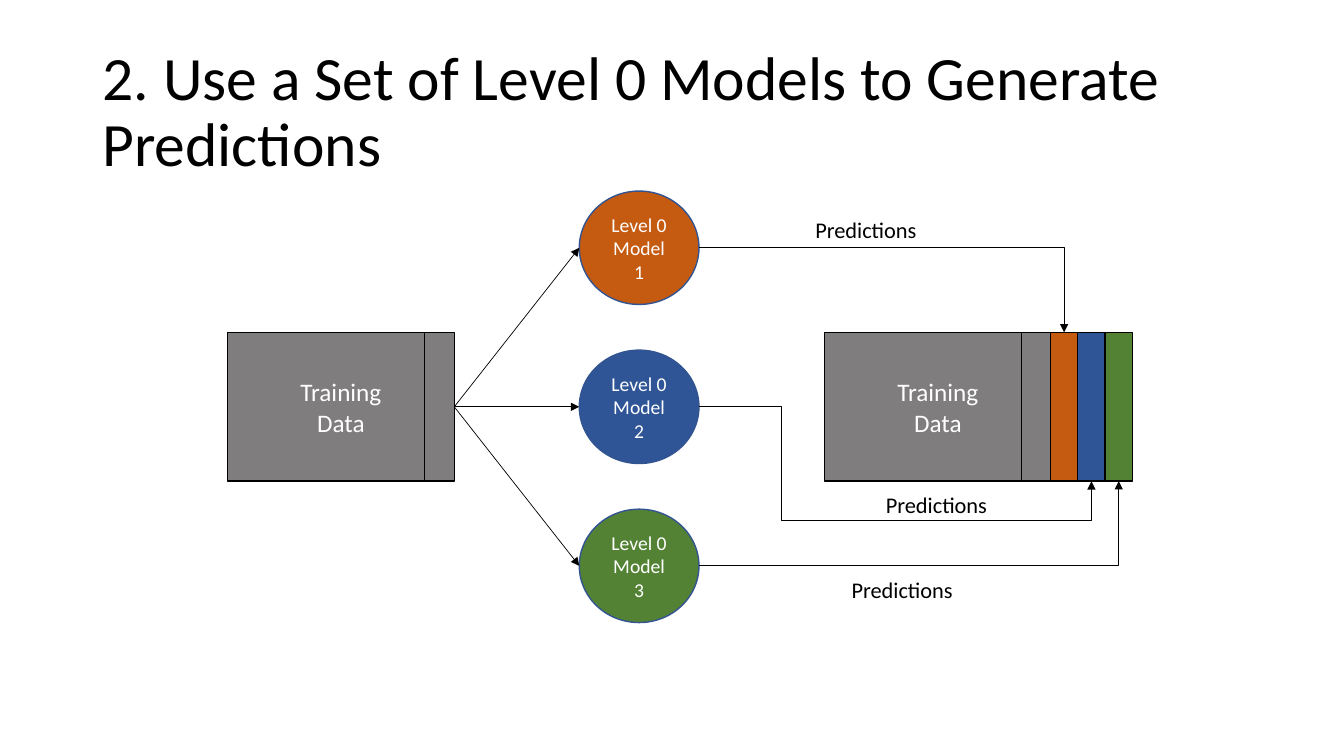
"""Build a slide showing level 0 models adding prediction columns to training data."""
from lxml.etree import SubElement
from pptx import Presentation
from pptx.dml.color import RGBColor
from pptx.enum.shapes import MSO_CONNECTOR, MSO_SHAPE
from pptx.enum.text import MSO_ANCHOR, MSO_AUTO_SIZE, PP_ALIGN
from pptx.oxml.ns import qn
from pptx.util import Pt

BLACK, WHITE, GREY = "000000", "FFFFFF", "3B3838"
MODEL_COLORS = ["C55A11", "2F5597", "548235"]


def rgb(value):
    return RGBColor.from_string(value)


class Deck:
    def __init__(self, prs, font):
        self.font = font
        self.s = prs.slides.add_slide(prs.slide_layouts[5])

    def add_text(self, sp, lines, size, color, frame, para):
        tf = sp.text_frame
        for name, value in frame.items():
            setattr(tf, name, value)
        for i, line in enumerate(lines):
            p = tf.add_paragraph() if i else tf.paragraphs[0]
            for name, value in para.items():
                setattr(p, name, value)
            r = p.add_run()
            r.text = line
            for name, value in {"name": self.font, "size": Pt(size)}.items():
                setattr(r.font, name, value)
            r.font.color.rgb = rgb(color)

    def title(self, text, left, top, width, height):
        sp = self.s.shapes.title
        box = {"left": left, "top": top, "width": width, "height": height}
        for name, value in box.items():
            setattr(sp, name, Pt(value))
        self.add_text(sp, [text], 44, BLACK,
                      {"vertical_anchor": MSO_ANCHOR.MIDDLE, "word_wrap": True,
                       "auto_size": MSO_AUTO_SIZE.NONE},
                      {"alignment": PP_ALIGN.LEFT, "line_spacing": 0.9})

    def shape(self, kind, box, fill, line, lines=(), size=18, alpha=None):
        sp = self.s.shapes.add_shape(kind, *map(Pt, box))
        sp.shadow.inherit = False
        sp.fill.solid()
        sp.fill.fore_color.rgb = rgb(fill)
        sp.line.color.rgb = rgb(line)
        sp.line.width = Pt(1)
        if alpha:
            clr = sp._element.spPr.find(qn("a:solidFill"))[0]
            SubElement(clr, qn("a:alpha"), val=str(alpha * 1000))
        self.add_text(sp, lines, size, WHITE,
                      {"vertical_anchor": MSO_ANCHOR.MIDDLE, "word_wrap": True},
                      {"alignment": PP_ALIGN.CENTER})
        return sp

    def line(self, start, end, arrow=True, bend=None, adjust=()):
        kind = MSO_CONNECTOR.ELBOW if bend else MSO_CONNECTOR.STRAIGHT
        sp = self.s.shapes.add_connector(kind, *map(Pt, start + end))
        sp.line.color.rgb = rgb(BLACK)
        sp.line.width = Pt(0.5)
        props = sp._element.spPr
        if arrow:
            SubElement(props.find(qn("a:ln")), qn("a:tailEnd"), type="triangle")
        SubElement(props, qn("a:effectLst"))
        if bend:
            geom = props.find(qn("a:prstGeom"))
            geom.set("prst", bend)
            guides = geom.find(qn("a:avLst"))
            for i, value in enumerate(adjust, 1):
                SubElement(guides, qn("a:gd"), name=f"adj{i}",
                           fmla=f"val {round(value * 100000)}")
        return sp

    def label(self, text, left, top):
        sp = self.s.shapes.add_textbox(Pt(left), Pt(top), Pt(87.8), Pt(26.6))
        self.add_text(sp, [text], 16, BLACK,
                      {"word_wrap": False,
                       "auto_size": MSO_AUTO_SIZE.SHAPE_TO_FIT_TEXT}, {})


def main():
    prs = Presentation()
    prs.slide_width, prs.slide_height = Pt(960), Pt(540)
    deck = Deck(prs, "Calibri")
    deck.title("2. Use a Set of Level 0 Models to Generate Predictions",
               66, 28.75, 828, 104.4)

    top, height, width = 237.5, 106.2, 162
    bottom, middle = top + height, top + height / 2
    data = []
    for left in (162.5, 588.9):
        data.append(deck.shape(MSO_SHAPE.RECTANGLE, (left, top, width, height),
                               GREY, BLACK, ["Training", "Data"], alpha=65))
        deck.line((left + 140.6, top), (left + 140.6, bottom), arrow=False)

    model_left, model_w, model_h, pitch = 413.8, 85.5, 81, 113.6
    column_left, column_w = 750.4, 19.5
    outputs, columns = [], []
    for i, color in enumerate(MODEL_COLORS):
        y = middle + (i - 1) * pitch
        deck.shape(MSO_SHAPE.OVAL, (model_left, y - model_h / 2, model_w, model_h),
                   color, "325491", [f"Level 0 Model {i + 1}"], 14)
        arrow = deck.line((324.5, middle), (model_left, y))
        arrow.begin_connect(data[0], 3)
        x = column_left + i * column_w
        deck.shape(MSO_SHAPE.RECTANGLE, (x, top, column_w, height), color, BLACK)
        outputs.append((model_left + model_w, y))
        columns.append(x + column_w / 2)

    routes = [(top, "bentConnector2", ()),
              (bottom, "bentConnector4", (0.21, 1.53)),
              (bottom, "bentConnector2", ())]
    for start, x, (y, bend, adjust) in zip(outputs, columns, routes):
        deck.line(start, (x, y), bend=bend, adjust=adjust)
    for left, label_top in ((575.3, 151.2), (625.7, 347), (601.2, 408.2)):
        deck.label("Predictions", left, label_top)
    prs.save("out.pptx")


if __name__ == "__main__":
    main()
